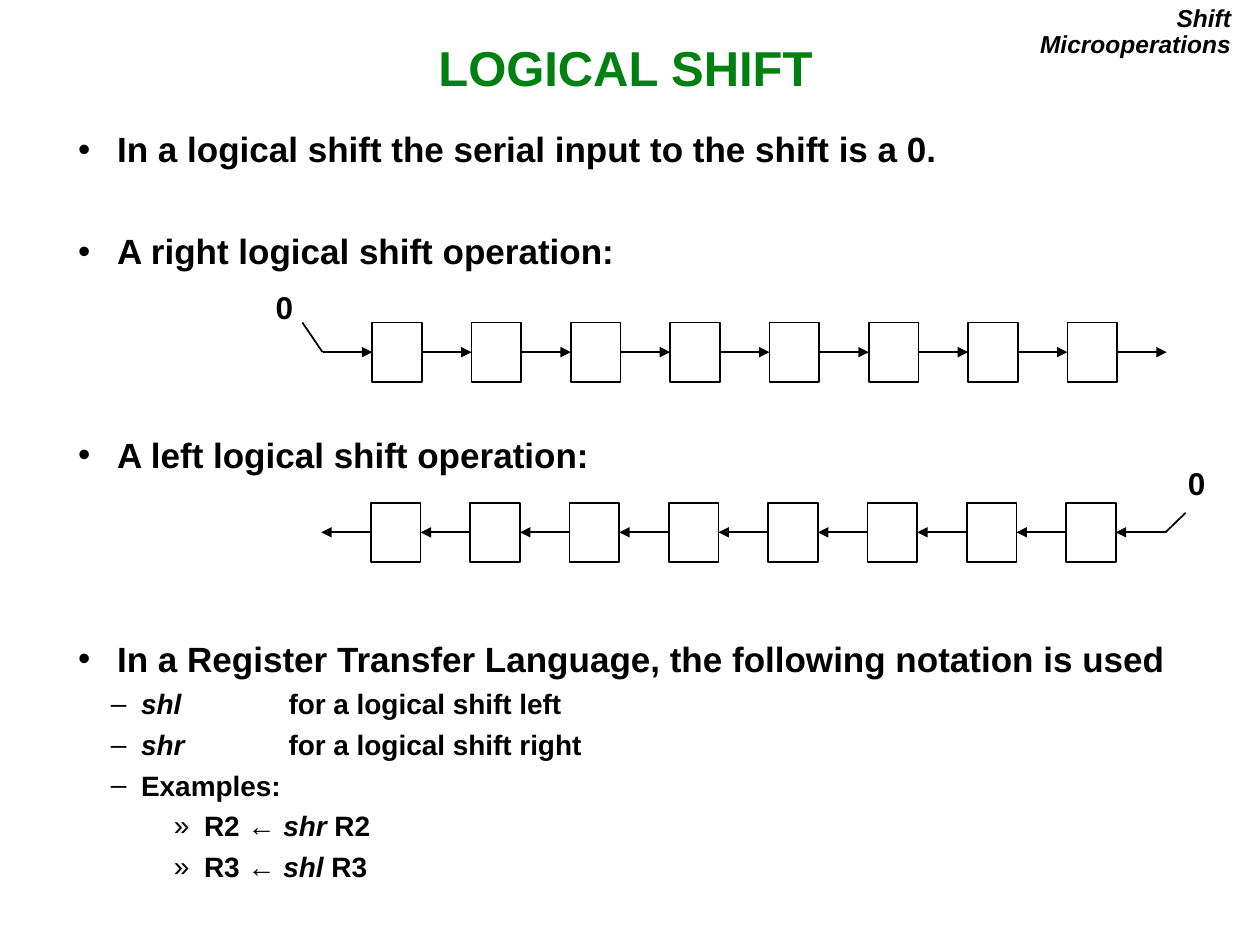
from lxml.etree import SubElement
from pptx import Presentation
from pptx.dml.color import RGBColor
from pptx.enum.shapes import MSO_CONNECTOR as CONN, MSO_SHAPE as SHAPE
from pptx.enum.text import MSO_ANCHOR as ANCHOR, MSO_AUTO_SIZE as AUTO, PP_ALIGN as ALIGN
from pptx.oxml.ns import qn
from pptx.util import Inches, Pt

BLACK = RGBColor(0x00, 0x00, 0x00)
GREEN = RGBColor(0x00, 0x80, 0x11)
FONT = "Arial"
CELLS = 8
BULLETS = [("•", 20, 0.31, 0.31), ("–", 16, 0.5, 0.24), ("»", 16, 1, 0.24)]
POINTS = [
    (0, 0, [("In a logical shift the serial input to the shift is a 0.", False)]),
    (0, 36.64, [("A right logical shift operation:", False)]),
    (0, 94.92, [("A left logical shift operation:", False)]),
    (0, 94.92, [("In a Register Transfer Language, the following notation is used", False)]),
    (1, 6, [("shl\t", True), ("for a logical shift left", False)]),
    (1, 6, [("shr\t", True), ("for a logical shift right", False)]),
    (1, 6, [("Examples:", False)]),
    (2, 6, [("R2 ← ", False), ("shr", True), (" R2", False)]),
    (2, 6, [("R3 ← ", False), ("shl", True), (" R3", False)]),
]


def add_text(p, text, size, color=BLACK, italic=False, align=ALIGN.LEFT):
    """Add a bold run to a paragraph with the given format."""
    p.alignment, p.line_spacing = align, 0.9
    r = p.add_run()
    r.text = text
    f = r.font
    f.name, f.size, f.bold, f.italic = FONT, Pt(size), True, italic
    f.color.rgb = color


def place(s, box):
    """Move a shape to a box given in inches."""
    s.left, s.top, s.width, s.height = map(Inches, box)


def add_bullet(p, level):
    """Give a paragraph the bullet, indent and tab stop of its level."""
    char, _, margin, hanging = BULLETS[level]
    p.level = level
    pPr = p._p.get_or_add_pPr()
    pPr.set("marL", str(Inches(margin)))
    pPr.set("indent", str(-Inches(hanging)))
    color = SubElement(pPr, qn("a:buClr"))
    SubElement(color, qn("a:srgbClr"), val=str(BLACK))
    SubElement(pPr, qn("a:buFont"), typeface=FONT)
    SubElement(pPr, qn("a:buChar"), char=char)
    tabs = SubElement(pPr, qn("a:tabLst"))
    SubElement(tabs, qn("a:tab"), pos=str(Inches(1.67)), algn="l")


def add_label(shapes, box, text, size, **fmt):
    """Add an unwrapped text box."""
    s = shapes.add_textbox(*map(Inches, box))
    s.text_frame.word_wrap = False
    add_text(s.text_frame.paragraphs[0], text, size, **fmt)


def add_line(shapes, start, end, arrow=True):
    """Add a thin black line, with an arrowhead at its end if wanted."""
    s = shapes.add_connector(CONN.STRAIGHT, *map(Inches, (*start, *end)))
    s.line.color.rgb, s.line.width = BLACK, Pt(1)
    if arrow:
        SubElement(s.line._get_or_add_ln(), qn("a:tailEnd"), type="triangle")
    SubElement(s._element.spPr, qn("a:effectLst"))


def add_title(slide, box):
    """Fill the title placeholder."""
    s = slide.shapes.title
    place(s, box)
    tf = s.text_frame
    tf.vertical_anchor, tf.auto_size = ANCHOR.MIDDLE, AUTO.NONE
    tf.margin_left = tf.margin_right = Inches(0.07)
    tf.margin_top = tf.margin_bottom = Inches(0.03)
    add_text(tf.paragraphs[0], "LOGICAL SHIFT", 28, color=GREEN, align=ALIGN.CENTER)


def add_points(slide, box):
    """Fill the body placeholder with the bulleted list."""
    s = slide.placeholders[1]
    place(s, box)
    tf = s.text_frame
    tf.vertical_anchor, tf.auto_size = ANCHOR.TOP, AUTO.NONE
    for i, (level, before, runs) in enumerate(POINTS):
        p = tf.add_paragraph() if i else tf.paragraphs[0]
        add_bullet(p, level)
        p.space_before = Pt(before)
        for text, italic in runs:
            add_text(p, text, BULLETS[level][1], italic=italic)


def add_register(slide, box, feed, label, leftward=False):
    """Draw a row of cells joined by arrows, with a 0 fed into its open end."""
    x, y, w, h = box
    shapes = slide.shapes.add_group_shape().shapes
    unit, mid = w / (2 * CELLS + 1), y + h / 2
    for i in range(CELLS):
        s = shapes.add_shape(SHAPE.RECTANGLE, *map(Inches, (x + (2 * i + 1) * unit, y, unit, h)))
        s.shadow.inherit = False
        s.fill.background()
        s.line.color.rgb, s.line.width = BLACK, Pt(1)
    for i in range(CELLS + 1):
        ends = [(x + 2 * i * unit, mid), (x + (2 * i + 1) * unit, mid)]
        add_line(shapes, *(reversed(ends) if leftward else ends))
    add_line(shapes, (x + w if leftward else x, mid), feed, arrow=False)
    add_label(shapes, label, "0", 18)


def main():
    """Build the slide and save it."""
    prs = Presentation()
    prs.slide_width, prs.slide_height = Inches(10), Inches(7.5)
    slide = prs.slides.add_slide(prs.slide_layouts[1])
    add_title(slide, (0.16, 0.32, 9.61, 0.48))
    add_label(slide.shapes, (7.67, 0, 2.2, 0.31), "Shift Microoperations", 14,
              italic=True, align=ALIGN.RIGHT)
    add_points(slide, (0.52, 1, 8.97, 6.21))
    add_register(slide, (2.56, 2.56, 6.7, 0.47), (2.4, 2.56), (2.09, 2.27, 0.34, 0.37))
    add_register(slide, (2.55, 3.99, 6.7, 0.47), (9.41, 4.07), (9.33, 3.67, 0.34, 0.37),
                 leftward=True)
    prs.save("out.pptx")


if __name__ == "__main__":
    main()
